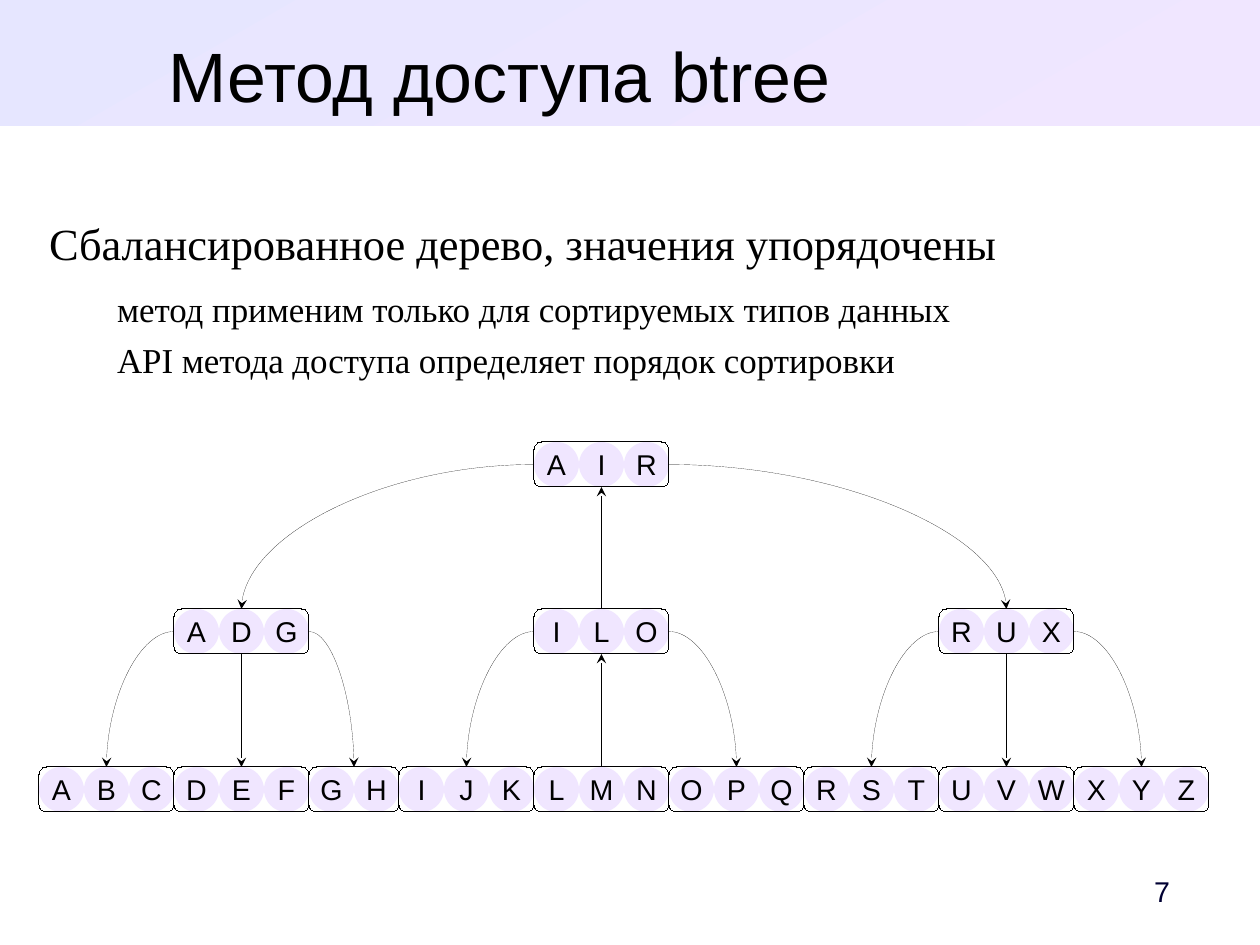
from lxml import etree
from pptx import Presentation
from pptx import util as u
from pptx.dml.color import RGBColor
from pptx.enum import shapes, text
from pptx.oxml.ns import qn

PX = 8000  # EMU in one px
CELL = 45
TREE_LEFT = 39
ROOT_TOP, BRANCH_TOP, LEAF_TOP = 442, 609, 767
TOP, LEFT, BOTTOM, RIGHT = range(4)
LEAVES = ["ABC", "DEF", "GH", "IJK", "LMN", "OPQ", "RST", "UVW", "XYZ"]


def px(*lengths):
    return [u.Emu(length * PX) for length in lengths]


def color(value):
    return RGBColor.from_string(value)


class TreePage:
    ink, lilac, blue, navy = "000000", "F0E6FF", "E6E6FF", "000033"
    sans, serif = "Arial", "Times New Roman"

    def __init__(self, deck):
        self.page = deck.slides.add_slide(deck.slide_layouts[1])

    def style(self, para, size, font, ink, align):
        para.alignment = align
        para.font.size = u.Pt(size)
        para.font.name = font
        para.font.color.rgb = color(ink)

    def frame(self, box, anchor):
        frame = box.text_frame
        frame.margin_left = frame.margin_right = 0
        frame.margin_top = frame.margin_bottom = 0
        frame.auto_size = text.MSO_AUTO_SIZE.NONE
        frame.vertical_anchor = anchor
        return frame

    def place(self, box, *bounds):
        box.left, box.top, box.width, box.height = px(*bounds)

    def shape(self, kind, *bounds):
        shape = self.page.shapes.add_shape(kind, *px(*bounds))
        shape.shadow.inherit = False
        shape.line.fill.background()
        return shape

    def band(self, *bounds):
        """Add the gradient band behind the placeholders."""
        band = self.shape(shapes.MSO_SHAPE.RECTANGLE, *bounds)
        self.page.shapes.title._element.addprevious(band._element)
        band.fill.gradient()
        band.fill.gradient_angle = 300
        for stop, tint in zip(band.fill.gradient_stops, (self.blue, self.lilac)):
            stop.color.rgb = color(tint)

    def title(self, words, *bounds):
        box = self.page.shapes.title
        self.place(box, *bounds)
        frame = self.frame(box, text.MSO_ANCHOR.TOP)
        frame.text = words
        self.style(frame.paragraphs[0], 44, self.sans, self.ink, text.PP_ALIGN.CENTER)

    def body(self, items, *bounds):
        """Fill the body placeholder with (level, words) items."""
        box = self.page.placeholders[1]
        self.place(box, *bounds)
        frame = self.frame(box, text.MSO_ANCHOR.TOP)
        frame.text = "\n".join(words for _, words in items)
        for para, (level, _) in zip(frame.paragraphs, items):
            para.level = level
            props = para._p.get_or_add_pPr()
            props.set("marL", str(level * 68 * PX))
            props.set("indent", "0")
            etree.SubElement(props, qn("a:buNone"))
            para.space_before = u.Pt(0)
            para.space_after = u.Pt(5.7 if level else 11.3)
            self.style(para, 22 if level else 28, self.serif, self.ink, text.PP_ALIGN.LEFT)

    def number(self, words, *bounds):
        box = self.page.shapes.add_textbox(*px(*bounds))
        frame = self.frame(box, text.MSO_ANCHOR.MIDDLE)
        frame.word_wrap = True
        frame.text = words
        self.style(frame.paragraphs[0], 18, self.sans, self.navy, text.PP_ALIGN.RIGHT)

    def key(self, letter, left, top):
        circle = self.shape(shapes.MSO_SHAPE.OVAL, left, top, CELL, CELL)
        circle.fill.solid()
        circle.fill.fore_color.rgb = color(self.lilac)
        frame = self.frame(circle, text.MSO_ANCHOR.MIDDLE)
        frame.word_wrap = False
        frame.text = letter
        self.style(frame.paragraphs[0], 18, self.sans, self.ink, text.PP_ALIGN.CENTER)

    def node(self, letters, left, top):
        """Draw the keys of a tree node and return its outline."""
        for index, letter in enumerate(letters):
            self.key(letter, left + index * CELL, top)
        outline = self.shape(shapes.MSO_SHAPE.ROUNDED_RECTANGLE,
                             left, top, len(letters) * CELL, CELL)
        outline.adjustments[0] = 0.17
        outline.fill.background()
        self.hairline(outline.line)
        return outline

    def hairline(self, line):
        """Colour a line and give it zero width, which line.width would drop."""
        line.color.rgb = color(self.ink)
        stroke = line._get_or_add_ln()
        stroke.set("w", "0")
        return stroke

    def arrow(self, start, start_side, end, end_side):
        curved = start_side in (LEFT, RIGHT)
        kind = shapes.MSO_CONNECTOR.CURVE if curved else shapes.MSO_CONNECTOR.STRAIGHT
        link = self.page.shapes.add_connector(kind, 0, 0, 0, 0)
        link.begin_connect(start, start_side)
        link.end_connect(end, end_side)
        props = link._element.spPr
        if curved:
            props.find(qn("a:prstGeom")).set("prst", "curvedConnector2")
        stroke = self.hairline(link.line)
        etree.SubElement(stroke, qn("a:tailEnd"), type="stealth")
        etree.SubElement(props, qn("a:effectLst"))


def main():
    deck = Presentation()
    deck.slide_width, deck.slide_height = px(1260, 945)
    tree = TreePage(deck)
    tree.band(0, 0, 1260, 126)
    tree.title("Метод доступа btree", 54, 33, 892, 79)
    tree.body([(0, "Сбалансированное дерево, значения упорядочены"),
               (1, "метод применим только для сортируемых типов данных"),
               (1, "API метода доступа определяет порядок сортировки")],
              49, 216, 1152, 653)
    tree.number("7", 1109, 864, 61, 54)

    leaves, lefts, left = [], [], TREE_LEFT
    for letters in LEAVES:
        leaves.append(tree.node(letters, left, LEAF_TOP))
        lefts.append(left)
        left += len(letters) * CELL

    # Each branch stands above the middle leaf of its three
    branches = []
    for first in range(0, len(LEAVES), 3):
        letters = [leaf[0] for leaf in LEAVES[first:first + 3]]
        branches.append(tree.node(letters, lefts[first + 1], BRANCH_TOP))
    root = tree.node("AIR", lefts[4], ROOT_TOP)

    parents = [(root, branches)]
    parents += [(branch, leaves[3 * index:3 * index + 3])
                for index, branch in enumerate(branches)]
    for parent, (low, middle, high) in parents:
        tree.arrow(parent, LEFT, low, TOP)
        if parent in (root, branches[1]):
            tree.arrow(middle, TOP, parent, BOTTOM)
        else:
            tree.arrow(parent, BOTTOM, middle, TOP)
        tree.arrow(parent, RIGHT, high, TOP)

    deck.save("out.pptx")


if __name__ == "__main__":
    main()
